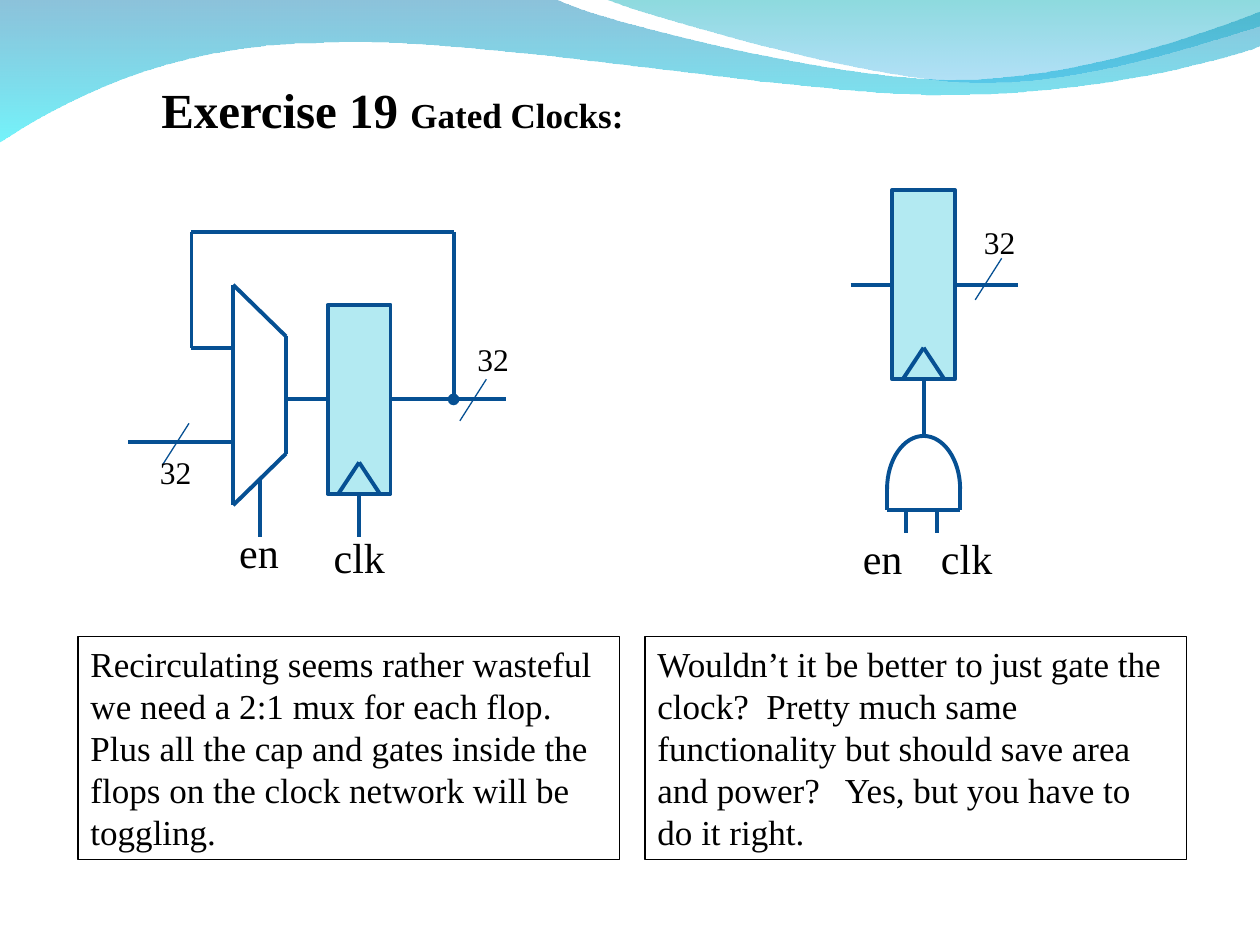
from lxml.etree import SubElement
from pptx import Presentation
from pptx.dml.color import RGBColor
from pptx.enum.shapes import MSO_CONNECTOR as CONNECTOR, MSO_SHAPE as SHAPE
from pptx.enum.text import MSO_ANCHOR as ANCHOR, MSO_AUTO_SIZE as FIT, PP_ALIGN as ALIGN
from pptx.oxml.ns import qn
from pptx.util import Inches, Pt

FONT, BLACK, WIRE, FLOP_EDGE, FLOP_FILL = "Times New Roman", "000000", "065093", "085091", "B3EAF2"
THICK, THIN = 2.25, 0.75

TITLE = ((1.18, 0.58, 3.9, 0.57), [("Exercise 19 ", 28), ("Gated Clocks:", 20)])

WAVES = [
    ((0, -0.01),
     [[(4.4, -0.01)],
      [(4.76, 0.17), (6.64, 0.63), (7.58, 0.63)],
      [(8.53, 0.63), (9.58, 0.26), (10, 0.09)],
      [(10.01, 0.36)],
      [(9.83, 0.44), (8.7, 0.76), (7.46, 0.75)],
      [(6.22, 0.75), (3.82, 0.28), (2.57, 0.34)],
      [(1.29, 0.35), (0.46, 0.83), (-0.01, 1.13)]],
     [("0079AF", 45), ("00EBF8", 55)]),
    ((4.79, -0.01),
     [[(5.09, 0.11), (6.82, 0.62), (7.69, 0.65)],
      [(8.56, 0.69), (9.61, 0.32), (10, 0.21)],
      [(10, 0)]],
     [("00ADB6", 45), ("009BE5", 30)]),
]
GATE_ARCH = ((7.04, 3.88),
             [[(7.04, 3.65), (7.17, 3.46), (7.33, 3.46)],
              [(7.49, 3.46), (7.62, 3.65), (7.62, 3.88)]])

FLOPS = [(2.6, 2.42), (7.08, 1.51)]
FLOP_W, FLOP_H, NOTCH_W, NOTCH_H = 0.5, 1.5, 0.33, 0.25

WIRES = {
    "mux": [(1.85, 2.26), (2.27, 2.67), (2.27, 3.6), (1.85, 4.01), (1.85, 2.26)],
    "feedback": [(3.6, 3.17), (3.6, 1.84), (1.52, 1.84), (1.52, 2.76), (1.85, 2.76)],
    "flop output": [(3.1, 3.17), (3.6, 3.17)],
    "data input": [(1.02, 3.51), (1.85, 3.51)],
    "mux output": [(2.27, 3.17), (2.6, 3.17)],
    "enable": [(2.06, 3.8), (2.06, 4.26)],
    "clock": [(2.85, 3.92), (2.85, 4.26)],
    "gated output": [(7.58, 2.26), (8.08, 2.26)],
    "gated input": [(6.75, 2.26), (7.08, 2.26)],
    "gated clock": [(7.33, 3.01), (7.33, 3.34)],
    "gate output": [(7.33, 3.45), (7.33, 3.26)],
    "gate body": [(7.04, 3.88), (7.04, 4.05), (7.62, 4.05), (7.62, 3.85)],
    "gate enable": [(7.19, 4.23), (7.19, 4.04)],
    "gate clock": [(7.44, 4.23), (7.44, 4.04)],
}
JUNCTION = [(3.6, 3.17), (4.02, 3.17)]
BUS_SLASHES = [(3.65, 3.01), (1.29, 3.36), (7.74, 2.05)]
SLASH_W, SLASH_H = 0.21, 0.33

LABEL_SIZES = {"en": (24, 0.53, 0.5), "clk": (24, 0.63, 0.5), "32": (18, 0.46, 0.4)}
LABELS = [
    ("en", 1.8, 4.13),
    ("clk", 2.55, 4.17),
    ("32", 3.69, 2.65),
    ("32", 1.17, 3.55),
    ("clk", 7.37, 4.18),
    ("32", 7.71, 1.72),
    ("en", 6.75, 4.18),
]
REMARKS = [
    "Recirculating seems rather wasteful we need a 2:1 mux for each flop.  Plus all the cap "
    "and gates inside the flops on the clock network will be toggling.",
    "Wouldn’t it be better to just gate the clock?  Pretty much same functionality but should "
    "save area and power?   Yes, but you have to do it right.",
]
REMARK_LEFT, REMARK_STEP, REMARK_TOP, REMARK_W, REMARK_H = 0.62, 4.5, 5.05, 4.3, 1.77


def color(value):
    return RGBColor.from_string(value)


def inches(values):
    return [Inches(value) for value in values]


def outline(shape, value, width):
    shape.line.color.rgb = color(value)
    shape.line.width = Pt(width)


def write(shape, runs, wrap, bold=False):
    frame = shape.text_frame
    settings = {"word_wrap": wrap, "auto_size": FIT.SHAPE_TO_FIT_TEXT, "vertical_anchor": ANCHOR.TOP}
    for key, value in settings.items():
        setattr(frame, key, value)
    paragraph = frame.paragraphs[0]
    paragraph.alignment = ALIGN.LEFT
    for text, size in runs:
        run = paragraph.add_run()
        run.text = text
        for key, value in {"name": FONT, "size": Pt(size), "bold": bold}.items():
            setattr(run.font, key, value)
        run.font.color.rgb = color(BLACK)


def add_wire(shapes, start, end, width=THICK):
    wire = shapes.add_connector(CONNECTOR.STRAIGHT, *inches(start + end))
    outline(wire, WIRE, width)
    SubElement(wire.element.spPr, qn("a:effectLst"))
    return wire


def add_curve(shapes, start, segments, close):
    builder = shapes.build_freeform(*inches(start))
    builder.add_line_segments([inches(point) for segment in segments for point in segment], close=close)
    curve = builder.convert_to_shape()
    curve.shadow.inherit = False
    lines = iter(list(curve.element.iter(qn("a:lnTo"))))
    for segment in segments:
        first, *others = [next(lines) for _ in segment]
        if others:
            first.tag = qn("a:cubicBezTo")
        for line in others:
            first.append(line[0])
            line.getparent().remove(line)
    return curve


def add_wave(shapes, start, segments, stops):
    wave = add_curve(shapes, start, segments, True)
    wave.line.fill.background()
    wave.fill.gradient()
    wave.fill.gradient_angle = 270
    for stop, (value, _) in zip(wave.fill.gradient_stops, stops):
        stop.color.rgb = color(value)
    for tint, (_, opacity) in zip(wave.element.spPr.iter(qn("a:srgbClr")), stops):
        SubElement(tint, qn("a:alpha"), val=str(opacity * 1000))


def add_box(shapes, place):
    box = shapes.add_shape(SHAPE.RECTANGLE, *inches(place))
    box.shadow.inherit = False
    box.fill.background()
    return box


def add_flop(shapes, left, top):
    flop = add_box(shapes, (left, top, FLOP_W, FLOP_H))
    flop.fill.solid()
    flop.fill.fore_color.rgb = color(FLOP_FILL)
    outline(flop, FLOP_EDGE, THICK)
    middle, bottom = left + FLOP_W / 2, top + FLOP_H
    for side in (-1, 1):
        add_wire(shapes, (middle, bottom - NOTCH_H), (middle + side * NOTCH_W / 2, bottom))


def main():
    """Build the gated clocks exercise slide."""
    deck = Presentation()
    deck.slide_width, deck.slide_height = Inches(10), Inches(7.5)
    shapes = deck.slides.add_slide(deck.slide_layouts[5]).shapes

    for wave in WAVES:
        add_wave(shapes, *wave)
    place, runs = TITLE
    title = shapes.title
    title.left, title.top, title.width, title.height = inches(place)
    write(title, runs, False, True)

    for flop in FLOPS:
        add_flop(shapes, *flop)
    for corners in WIRES.values():
        for start, end in zip(corners, corners[1:]):
            add_wire(shapes, start, end)
    junction = add_wire(shapes, *JUNCTION)
    SubElement(junction.element.spPr.find(qn("a:ln")), qn("a:headEnd"), type="oval")
    for left, top in BUS_SLASHES:
        add_wire(shapes, (left + SLASH_W, top), (left, top + SLASH_H), THIN)
    arch = add_curve(shapes, *GATE_ARCH, False)
    arch.fill.background()
    outline(arch, WIRE, THICK)

    for text, left, top in LABELS:
        size, width, height = LABEL_SIZES[text]
        write(shapes.add_textbox(*inches((left, top, width, height))), [(text, size)], False)
    for index, text in enumerate(REMARKS):
        left = REMARK_LEFT + index * REMARK_STEP
        remark = add_box(shapes, (left, REMARK_TOP, REMARK_W, REMARK_H))
        outline(remark, BLACK, THIN)
        write(remark, [(text, 20)], True)
    deck.save("out.pptx")


if __name__ == "__main__":
    main()
